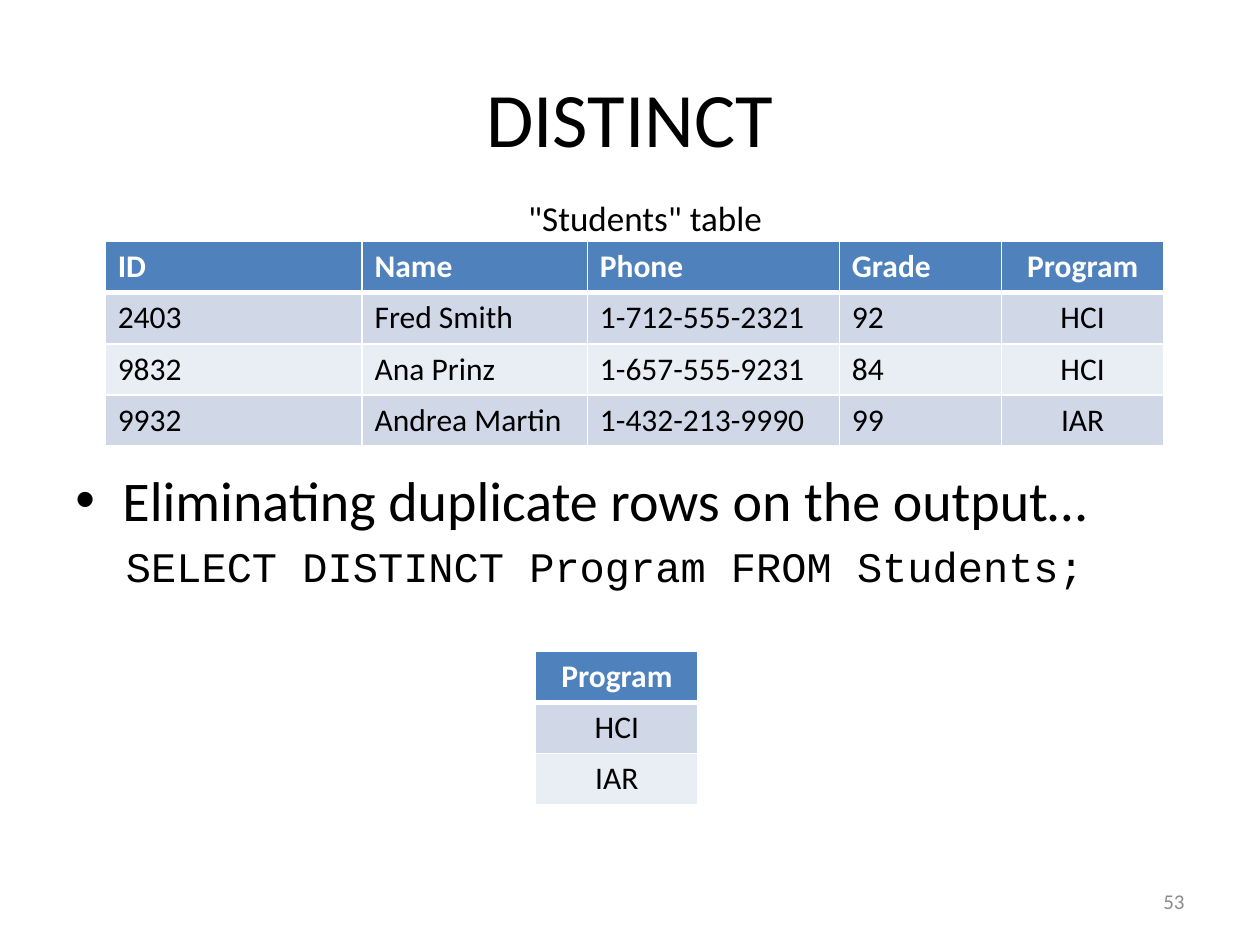
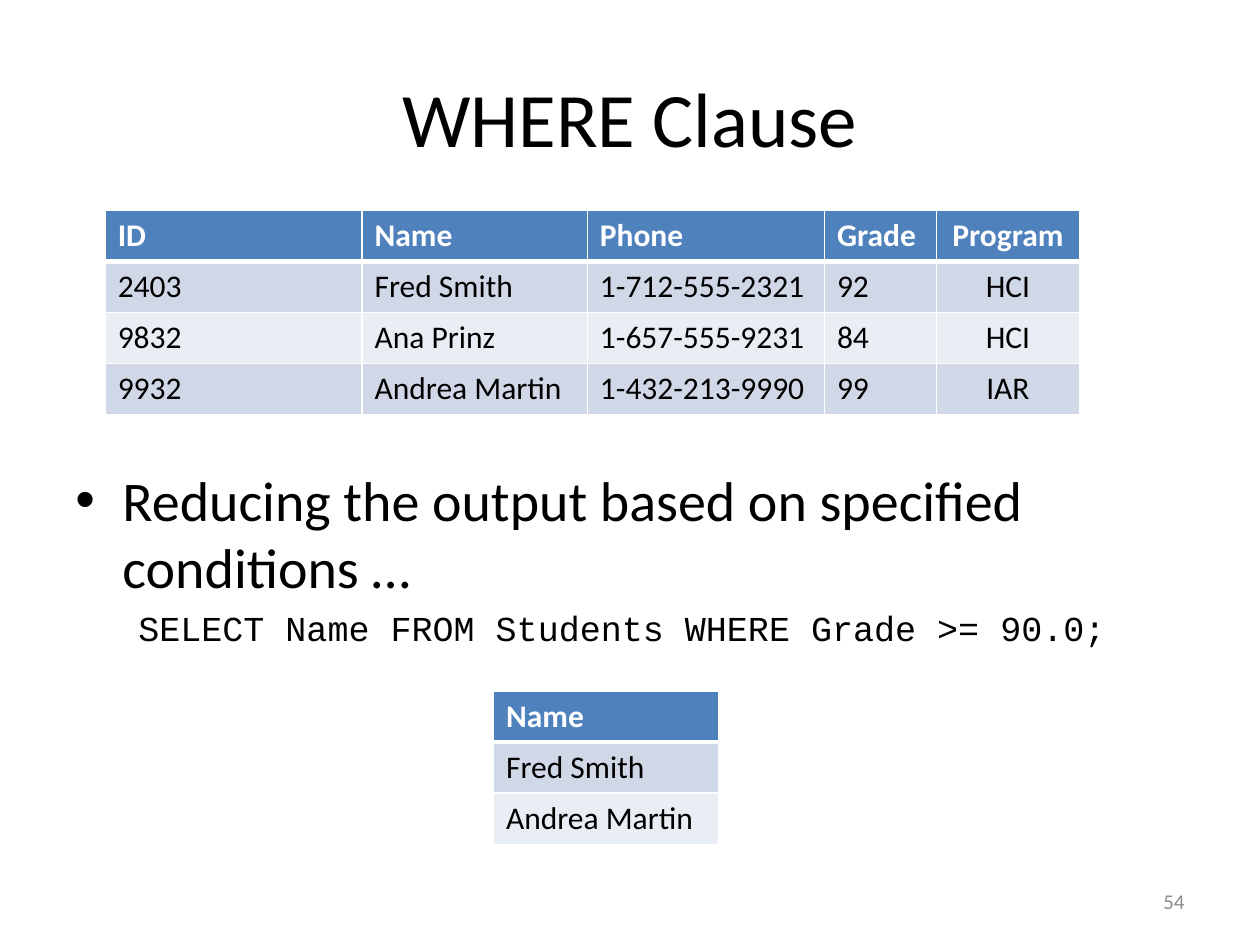
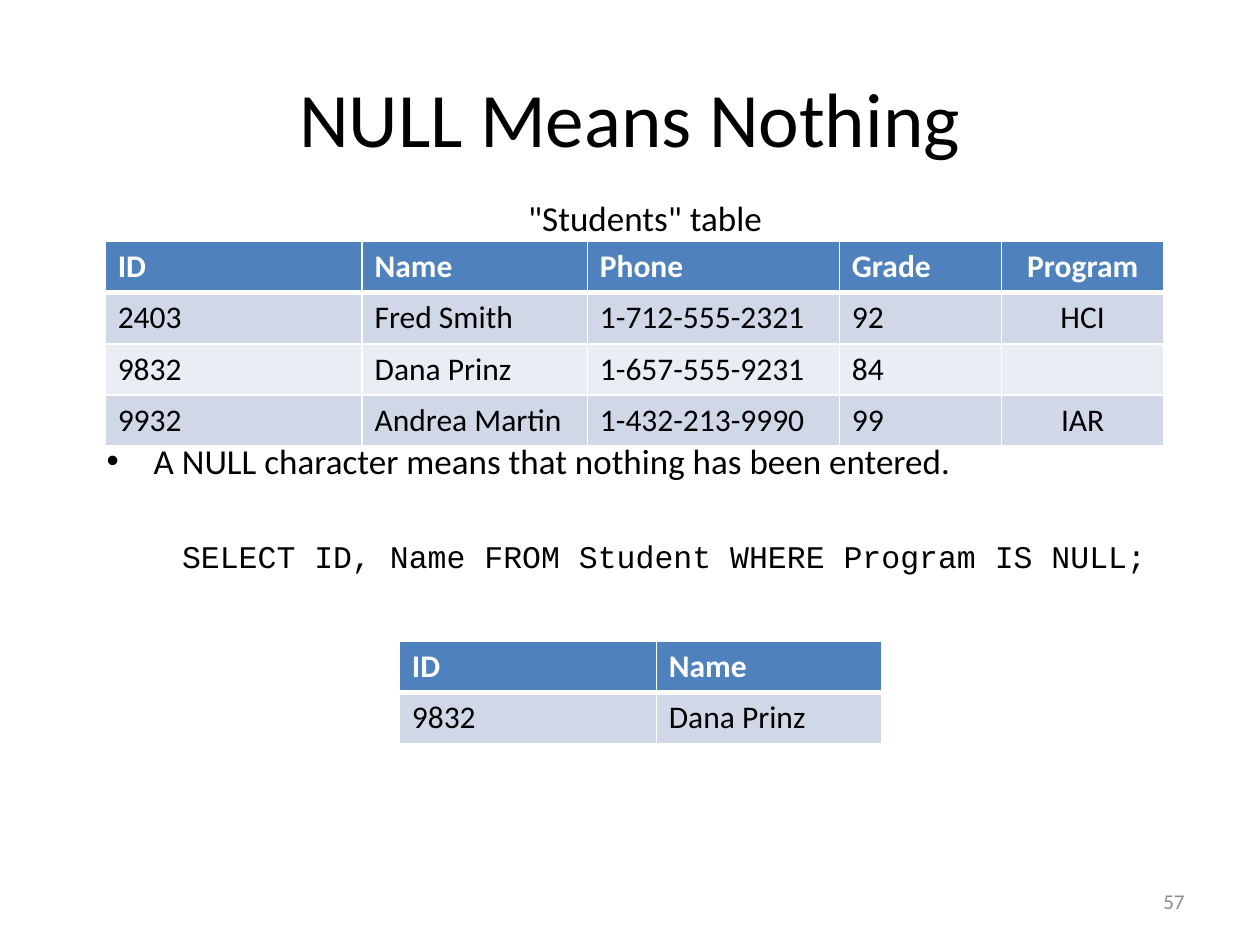
from lxml import etree
from pptx import Presentation
from pptx.dml.color import RGBColor
from pptx.enum.text import MSO_ANCHOR, PP_ALIGN
from pptx.oxml.ns import qn
from pptx.util import Cm, Pt

BLACK = RGBColor(0x00, 0x00, 0x00)
WHITE = RGBColor(0xFF, 0xFF, 0xFF)
GREY = RGBColor(0x8C, 0x8C, 0x8C)
HEADER_BLUE = RGBColor(0x4F, 0x81, 0xBD)
BANDS = [RGBColor(0xD0, 0xD8, 0xE8), RGBColor(0xE9, 0xED, 0xF4)]
TEXT_FONT = "Calibri"
CODE_FONT = "Courier New"

# Shared places, in centimetres: left, top, width, height
TITLE_BOX = (1.27, 0.76, 22.86, 3.18)
NUMBER_BOX = (18.21, 17.65, 5.92, 1.02)
CAPTION_BOX = (5.92, 3.84, 14.17, 1.47)
ROW_HEIGHT = 1.03
TABLE_LEFT = 2.12
BULLET_INDENT = 0.95

# Table contents and column widths
HEADER = ["ID", "Name", "Phone", "Grade", "Program"]
FRED = ["2403", "Fred Smith", "1-712-555-2321", "92", "HCI"]
ANA = ["9832", "Ana Prinz", "1-657-555-9231", "84", "HCI"]
DANA = ["9832", "Dana Prinz", "1-657-555-9231", "84", ""]
ANDREA = ["9932", "Andrea Martin", "1-432-213-9990", "99", "IAR"]
ID_WIDTH, NAME_WIDTH, PROGRAM_WIDTH = 5.18, 4.54, 3.27
WIDE_COLUMNS = [ID_WIDTH, NAME_WIDTH, 5.08, 3.27, PROGRAM_WIDTH]
NARROW_COLUMNS = [ID_WIDTH, NAME_WIDTH, 4.78, 2.26, 2.88]

# Each table is (left, top, column widths, rows)
SLIDES = [
    {
        "title": "DISTINCT", "number": "53", "caption": '"Students" table',
        "body": (1.27, 4.45, 22.86, 12.57), "body_inset": 4.93,
        "bullet": "Eliminating duplicate rows on the output…", "bullet_size": 32,
        "code": "SELECT DISTINCT Program FROM Students;", "code_size": 24,
        "code_indent": 1.02, "code_gap": 4.8,
        "tables": [
            (TABLE_LEFT, 4.87, WIDE_COLUMNS, [HEADER, FRED, ANA, ANDREA]),
            (10.8, 13.13, [PROGRAM_WIDTH], [["Program"], ["HCI"], ["IAR"]]),
        ],
    },
    {
        "title": "WHERE Clause", "number": "54", "caption": None,
        "body": (1.27, 4.45, 22.86, 12.57), "body_inset": 4.93,
        "bullet": "Reducing the output based on specified conditions …", "bullet_size": 32,
        "code": "SELECT Name FROM Students WHERE Grade >= 90.0;", "code_size": 20,
        "code_indent": 1.27, "code_gap": 4,
        "tables": [
            (TABLE_LEFT, 4.24, NARROW_COLUMNS, [HEADER, FRED, ANA, ANDREA]),
            (9.95, 13.93, [NAME_WIDTH], [["Name"], ["Fred Smith"], ["Andrea Martin"]]),
        ],
    },
    {
        "title": "NULL Means Nothing", "number": "57", "caption": '"Students" table',
        "body": (1.9, 4.02, 21.59, 12.7), "body_inset": 4.84,
        "bullet": "A NULL character means that nothing has been entered.", "bullet_size": 20,
        "code": "SELECT ID, Name FROM Student WHERE Program IS NULL;", "code_size": 18,
        "code_indent": 1.52, "code_gap": 32,
        "tables": [
            (TABLE_LEFT, 4.87, WIDE_COLUMNS, [HEADER, FRED, DANA, ANDREA]),
            (8.05, 12.93, [ID_WIDTH, NAME_WIDTH], [["ID", "Name"], ["9832", "Dana Prinz"]]),
        ],
    },
]


def add_run(paragraph, text, size, color=BLACK, font=TEXT_FONT, bold=False):
    run = paragraph.add_run()
    run.text = text
    run.font.name = font
    run.font.size = Pt(size)
    run.font.color.rgb = color
    run.font.bold = bold


def add_text_frame(slide, box, anchor=MSO_ANCHOR.TOP):
    frame = slide.shapes.add_textbox(*[Cm(length) for length in box]).text_frame
    frame.word_wrap = True
    frame.vertical_anchor = anchor
    return frame


presentation = Presentation()
presentation.slide_width = Cm(25.4)
presentation.slide_height = Cm(19.05)

for content in SLIDES:
    slide = presentation.slides.add_slide(presentation.slide_layouts[6])

    # Title, slide number and table caption
    for text, box, anchor, alignment, size, color in [
        (content["title"], TITLE_BOX, MSO_ANCHOR.MIDDLE, PP_ALIGN.CENTER, 44, BLACK),
        (content["number"], NUMBER_BOX, MSO_ANCHOR.MIDDLE, PP_ALIGN.RIGHT, 12, GREY),
        (content["caption"], CAPTION_BOX, MSO_ANCHOR.TOP, PP_ALIGN.CENTER, 20, BLACK),
    ]:
        if text:
            paragraph = add_text_frame(slide, box, anchor).paragraphs[0]
            paragraph.alignment = alignment
            add_run(paragraph, text, size, color)

    # Body: the inset leaves room for the table above the bullet
    frame = add_text_frame(slide, content["body"])
    frame.margin_top = Cm(content["body_inset"])
    bullet = frame.paragraphs[0]
    properties = bullet._p.get_or_add_pPr()
    properties.set("marL", str(Cm(BULLET_INDENT)))
    properties.set("indent", str(-Cm(BULLET_INDENT)))
    etree.SubElement(properties, qn("a:buFont")).set("typeface", "Arial")
    etree.SubElement(properties, qn("a:buChar")).set("char", "•")
    add_run(bullet, content["bullet"], content["bullet_size"])

    query = frame.add_paragraph()
    query.space_before = Pt(content["code_gap"])
    query._p.get_or_add_pPr().set("marL", str(Cm(content["code_indent"])))
    add_run(query, content["code"], content["code_size"], font=CODE_FONT)

    # Source table and query result
    for left, top, widths, rows in content["tables"]:
        table = slide.shapes.add_table(
            len(rows), len(widths), Cm(left), Cm(top),
            Cm(sum(widths)), Cm(ROW_HEIGHT * len(rows))).table
        for column, width in zip(table.columns, widths):
            column.width = Cm(width)
        for row_index, row in enumerate(rows):
            is_header = row_index == 0
            table.rows[row_index].height = Cm(ROW_HEIGHT)
            for column_index, text in enumerate(row):
                cell = table.cell(row_index, column_index)
                paragraph = cell.text_frame.paragraphs[0]
                if rows[0][column_index] == "Program":
                    paragraph.alignment = PP_ALIGN.CENTER
                if text:
                    add_run(paragraph, text, 18, WHITE if is_header else BLACK, bold=is_header)

                # White borders come before the fill; thick rule under the header
                cell_properties = cell._tc.get_or_add_tcPr()
                for side in ["lnL", "lnR", "lnT", "lnB"]:
                    thick = (is_header and side == "lnB") or (row_index == 1 and side == "lnT")
                    line = etree.SubElement(cell_properties, qn("a:" + side))
                    line.set("w", str(Pt(3 if thick else 1)))
                    line_fill = etree.SubElement(line, qn("a:solidFill"))
                    etree.SubElement(line_fill, qn("a:srgbClr")).set("val", str(WHITE))
                cell.fill.solid()
                cell.fill.fore_color.rgb = HEADER_BLUE if is_header else BANDS[(row_index - 1) % 2]

presentation.save("out.pptx")
